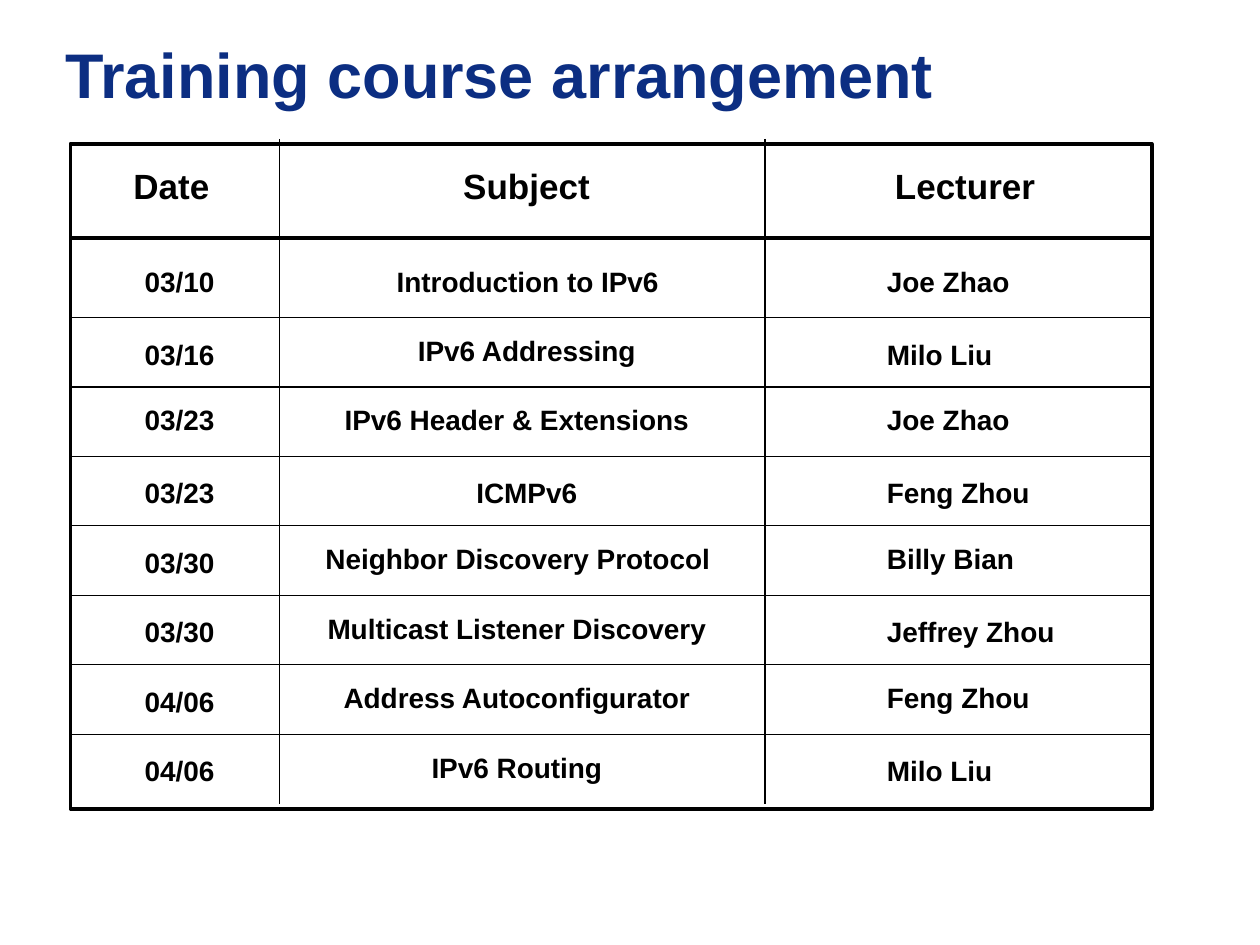
from lxml import etree
from pptx import Presentation
from pptx.dml.color import RGBColor
from pptx.enum.shapes import MSO_CONNECTOR, MSO_SHAPE
from pptx.enum.text import MSO_ANCHOR, MSO_AUTO_SIZE, PP_ALIGN
from pptx.oxml.ns import qn
from pptx.util import Cm, Pt

STRAIGHT = MSO_CONNECTOR.STRAIGHT
RECTANGLE = MSO_SHAPE.RECTANGLE
LEFT, CENTER = PP_ALIGN.LEFT, PP_ALIGN.CENTER
TOP, MIDDLE = MSO_ANCHOR.TOP, MSO_ANCHOR.MIDDLE
FIT = MSO_AUTO_SIZE.SHAPE_TO_FIT_TEXT

FONT = "Arial"
COLORS = {"title": "0C2E82", "ink": "000000"}

TITLE = "Training course arrangement"
HEADINGS = [("Date", 1.27), ("Subject", 8.43), ("Lecturer", 17.27)]
DATES = ["03/10", "03/16", "03/23", "03/23", "03/30", "03/30", "04/06", "04/06"]
SUBJECTS = [
    ("Introduction to IPv6", 5.64, 10.0),
    ("IPv6 Addressing", 6.22, 8.8),
    ("IPv6 Header & Extensions", 6.02, 8.8),
    ("ICMPv6", 6.22, 8.8),
    ("Neighbor Discovery Protocol", 5.64, 9.6),
    ("Multicast Listener Discovery", 6.02, 8.8),
    ("Address Autoconfigurator", 6.02, 8.8),
    ("IPv6 Routing", 6.02, 8.8),
]
LECTURERS = [
    ("Joe Zhao", 3.02), ("Milo Liu", 3.02), ("Joe Zhao", 3.02), ("Feng Zhou", 3.6),
    ("Billy Bian", 3.4), ("Jeffrey Zhou", 4.2), ("Feng Zhou", 3.8), ("Milo Liu", 3.02),
]
LOWERED = {"date": {1, 3, 4, 5, 6, 7}, "subject": {3}, "lecturer": {1, 3, 5, 7}}

FRAME_LEFT, FRAME_TOP, FRAME_WIDTH, FRAME_HEIGHT = 1.42, 2.9, 21.8, 13.41
HEADER_RULE = 4.8
FIRST_RULE = 6.4
FIRST_TEXT = 5.2
ROW_PITCH = 1.4
LOWERING = 0.07
COLUMN_RULES = (5.64, 15.42)
COLUMN_TOP, COLUMN_BOTTOM = 2.8, 16.2
DATE_LEFT, DATE_WIDTH = 2.42, 2.4
LECTURER_LEFT = 17.63


def add_label(slide, words, left, top, width, height, size,
              align=CENTER, color="ink", anchor=TOP):
    label = slide.shapes.add_textbox(Cm(left), Cm(top), Cm(width), Cm(height))
    frame = label.text_frame
    frame.text = words
    frame.word_wrap = True
    frame.vertical_anchor = anchor
    if anchor == TOP:
        frame.auto_size = FIT
    paragraph = frame.paragraphs[0]
    paragraph.alignment = align
    font = paragraph.runs[0].font
    font.name, font.size, font.bold = FONT, Pt(size), True
    font.color.rgb = RGBColor.from_string(COLORS[color])


def add_rule(slide, x1, y1, x2, y2, weight=0.75):
    rule = slide.shapes.add_connector(STRAIGHT, Cm(x1), Cm(y1), Cm(x2), Cm(y2))
    rule.line.color.rgb = RGBColor.from_string(COLORS["ink"])
    rule.line.width = Pt(weight)
    etree.SubElement(rule._element.spPr, qn("a:effectLst"))


def add_grid(slide):
    border = slide.shapes.add_shape(
        RECTANGLE, Cm(FRAME_LEFT), Cm(FRAME_TOP), Cm(FRAME_WIDTH), Cm(FRAME_HEIGHT))
    border.shadow.inherit = False
    border.fill.background()
    border.line.color.rgb = RGBColor.from_string(COLORS["ink"])
    border.line.width = Pt(2)
    right = FRAME_LEFT + FRAME_WIDTH
    add_rule(slide, FRAME_LEFT, HEADER_RULE, right, HEADER_RULE, 2)
    for row in range(len(DATES) - 1):
        y = FIRST_RULE + row * ROW_PITCH
        add_rule(slide, FRAME_LEFT, y, right, y)
    for x in COLUMN_RULES:
        add_rule(slide, x, COLUMN_TOP, x, COLUMN_BOTTOM)


def add_schedule(slide):
    for heading, left in HEADINGS:
        add_label(slide, heading, left, 3.2, 4.37, 1.12, 20)
    for row, (date, subject, lecturer) in enumerate(zip(DATES, SUBJECTS, LECTURERS)):
        tops = {column: FIRST_TEXT + row * ROW_PITCH + LOWERING * (row in rows)
                for column, rows in LOWERED.items()}
        topic, topic_left, topic_width = subject
        person, person_width = lecturer
        add_label(slide, date, DATE_LEFT, tops["date"], DATE_WIDTH, 0.94, 16)
        add_label(slide, topic, topic_left, tops["subject"], topic_width, 0.94, 16)
        add_label(slide, person, LECTURER_LEFT, tops["lecturer"], person_width, 0.94, 16, LEFT)


def main():
    """Build the training course timetable slide."""
    deck = Presentation()
    deck.slide_width, deck.slide_height = Cm(25.4), Cm(19.05)
    slide = deck.slides.add_slide(deck.slide_layouts[6])
    add_grid(slide)
    add_schedule(slide)
    add_label(slide, TITLE, 1.07, 0, 22.43, 2.97, 36, LEFT, "title", MIDDLE)
    deck.save("out.pptx")


if __name__ == "__main__":
    main()
